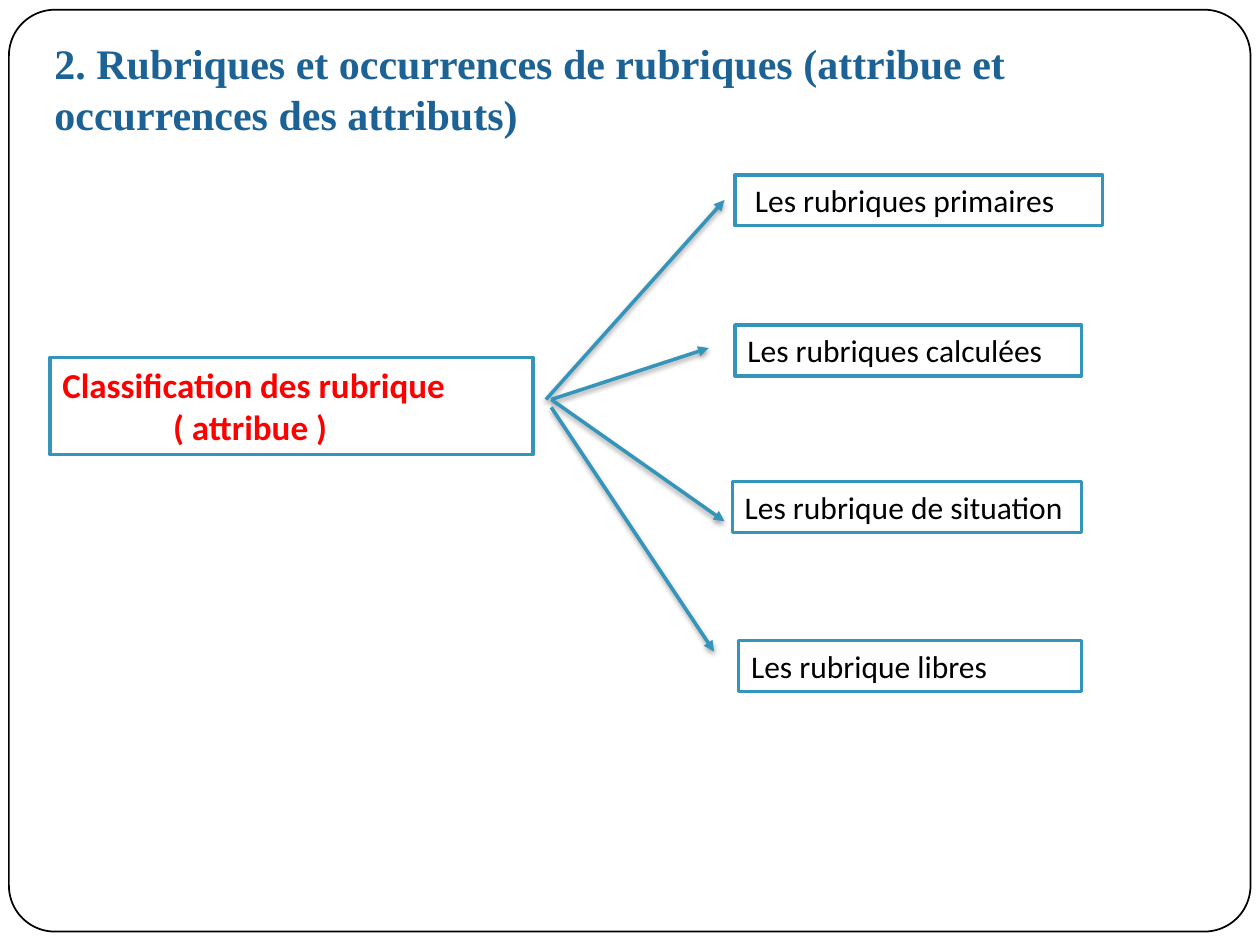
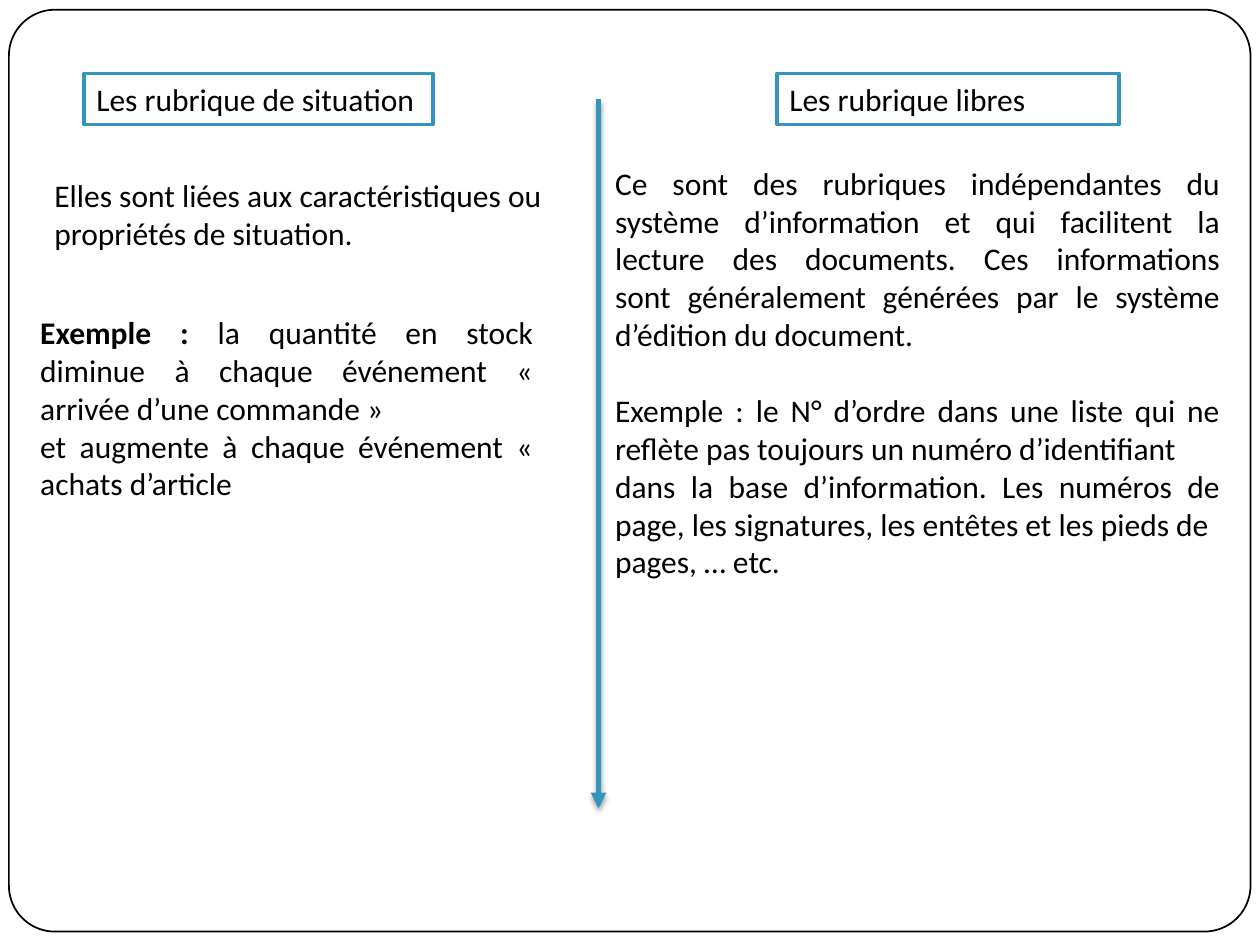
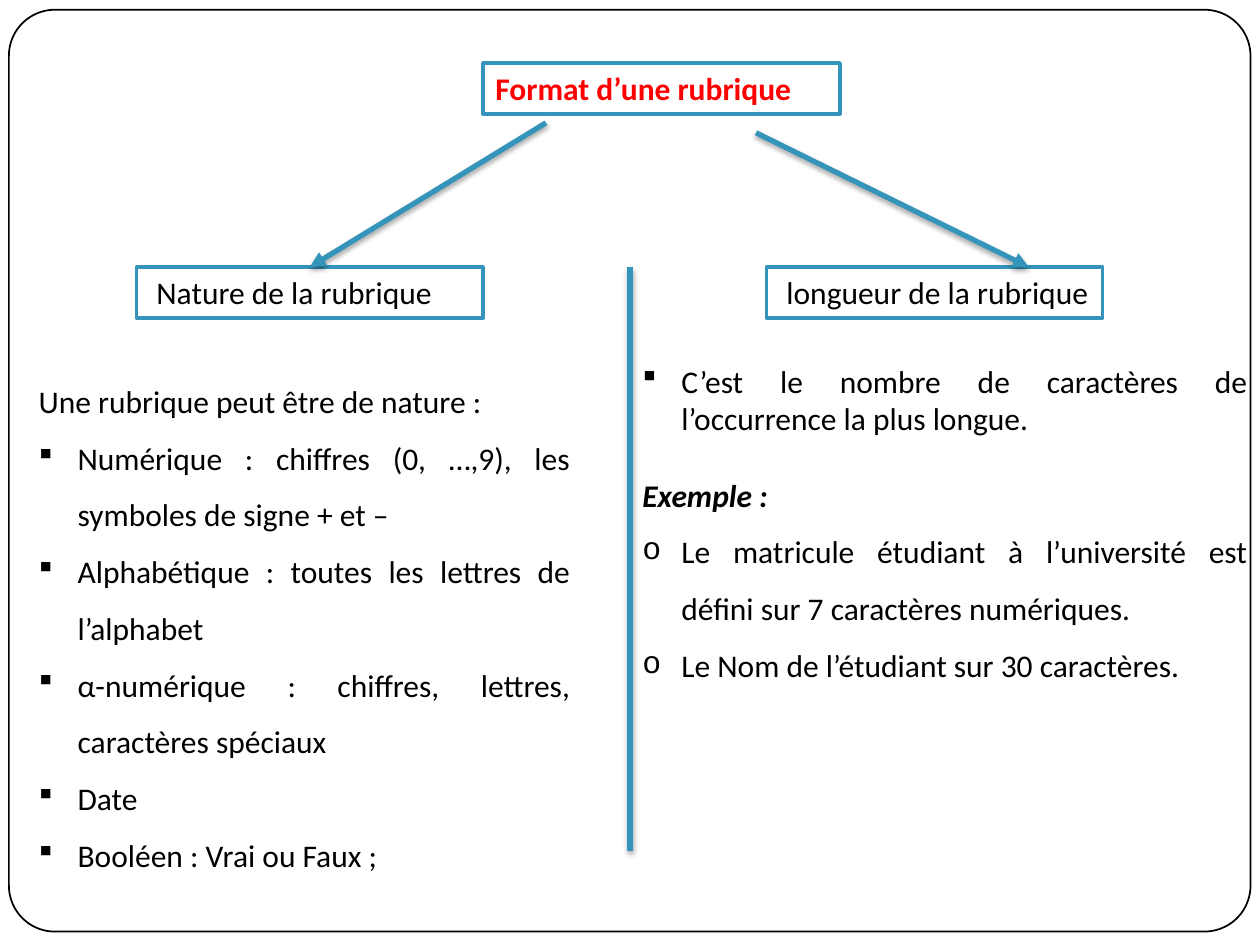
from dataclasses import dataclass

from lxml.etree import SubElement
from pptx import Presentation
from pptx.dml.color import RGBColor
from pptx.enum.shapes import MSO_CONNECTOR as Connector, MSO_SHAPE as Shape
from pptx.enum.text import MSO_ANCHOR as Anchor, PP_ALIGN as Align
from pptx.oxml.ns import qn
from pptx.util import Inches, Pt

BLACK = RGBColor(0x00, 0x00, 0x00)
WHITE = RGBColor(0xFF, 0xFF, 0xFF)
RED = RGBColor(0xFF, 0x00, 0x00)
TEAL = RGBColor(0x34, 0x94, 0xBA)
TITLE_BLUE = RGBColor(0x1D, 0x62, 0x94)

BODY_FONT = "Calibri"
TITLE_FONT = "Times New Roman"
SQUARE_BULLET = ("Wingdings", "§")
ROUND_BULLET = ("Courier New", "o")
BODY_SIZE = 18
BLANK_LINE = 22
HANGING = 0.31
WORD_SPACE = 0.06

SLIDE_WIDTH = Inches(10)
SLIDE_HEIGHT = Inches(7.5)
COLUMNS = 120
CELL = SLIDE_WIDTH / COLUMNS
LABEL_HEIGHT = 4.85


@dataclass
class Box:
    """An area of the slide measured in grid cells."""

    left: float
    top: float
    width: float
    height: float

    def inside(self, left, top, width, height):
        """Return a box placed relative to this one."""
        return Box(self.left + left, self.top + top, width, height)

    def emu(self):
        """Return left, top, width and height as slide lengths."""
        return [round(cells * CELL)
                for cells in (self.left, self.top, self.width, self.height)]


@dataclass
class Line:
    """One paragraph with its layout."""

    text: str
    lead: str = ""
    bullet: tuple = ()
    indent: float = 0
    spacing: float = 1
    before: float = 0
    bold: bool = False
    italic: bool = False


PAGE = Box(0, 0, COLUMNS, 90)


def write(shape, lines, align=Align.LEFT, size=BODY_SIZE, color=BLACK, font_name=BODY_FONT):
    """Fill a shape with paragraphs."""
    frame = shape.text_frame
    frame.word_wrap = True
    frame.vertical_anchor = Anchor.TOP
    for index, line in enumerate(lines):
        paragraph = frame.paragraphs[0] if index == 0 else frame.add_paragraph()
        paragraph.alignment = align
        paragraph.line_spacing = line.spacing
        paragraph.space_before = Pt(line.before)
        properties = paragraph._p.get_or_add_pPr()
        margin = HANGING if line.bullet else line.indent
        properties.set("marL", str(Inches(margin)))
        properties.set("indent", str(Inches(-HANGING if line.bullet else 0)))
        if line.bullet:
            bullet_font, bullet_character = line.bullet
            SubElement(properties, qn("a:buFont"), typeface=bullet_font)
            SubElement(properties, qn("a:buChar"), char=bullet_character)
        font = paragraph.font
        font.name, font.size = font_name, Pt(size)
        font.bold, font.italic = line.bold, line.italic
        font.color.rgb = color
        if line.lead:
            lead = paragraph.add_run()
            lead.text = line.lead
            lead.font.bold = True
        for part_index, part in enumerate(line.text.split("\n")):
            if part_index:
                paragraph.add_line_break()
            paragraph.add_run().text = part


def add_text(slide, box, lines, **style):
    """Add a plain text box."""
    write(slide.shapes.add_textbox(*box.emu()), lines, **style)


def add_label(slide, box, lines, **style):
    """Add a white box with a teal outline."""
    shape = slide.shapes.add_shape(Shape.RECTANGLE, *box.emu())
    shape.shadow.inherit = False
    shape.fill.solid()
    shape.fill.fore_color.rgb = WHITE
    shape.line.color.rgb = TEAL
    shape.line.width = Pt(2)
    write(shape, lines, **style)


def add_line(slide, box, start, end, width=3, arrow=True):
    """Draw a shadowed teal line between two points of a box."""
    points = [round(cells * CELL) for x, y in (start, end)
              for cells in (box.left + x, box.top + y)]
    connector = slide.shapes.add_connector(Connector.STRAIGHT, *points)
    connector.line.color.rgb = TEAL
    connector.line.width = Pt(width)
    if arrow:
        SubElement(connector.line._get_or_add_ln(), qn("a:tailEnd"), type="triangle")
    effects = SubElement(connector._element.spPr, qn("a:effectLst"))
    shadow = SubElement(effects, qn("a:outerShdw"), blurRad=str(Pt(3.1)),
                        dist=str(Pt(1.7)), dir="5400000", rotWithShape="0")
    color = SubElement(shadow, qn("a:srgbClr"), val=str(BLACK))
    SubElement(color, qn("a:alpha"), val="36000")


def add_framed_slide(presentation):
    """Add a blank slide with the rounded page frame."""
    slide = presentation.slides.add_slide(presentation.slide_layouts[6])
    frame = slide.shapes.add_shape(
        Shape.ROUNDED_RECTANGLE, *PAGE.inside(0.85, 0.93, 118.25, 87.8).emu())
    frame.adjustments[0] = 0.05
    frame.shadow.inherit = False
    frame.fill.background()
    frame.line.color.rgb = BLACK
    frame.line.width = Pt(1)
    return slide


def add_classification(slide, box):
    """Place the classification box and its four branches."""
    add_label(slide, box.inside(0, 17.4, 46, 9.25),
              [Line("Classification des rubrique", bold=True),
               Line("( attribue )", indent=0.88, bold=True)], size=20, color=RED)
    branches = [
        ("Les rubriques primaires", WORD_SPACE, (65.25, 0, 35), (47.25, 21.4), (64.25, 2.4)),
        ("Les rubriques calculées", 0, (65.25, 14.3, 33), (47.75, 21.4), (62.75, 16.5)),
        ("Les rubrique de situation", 0, (65, 29.2, 33.25), (47.75, 21.4), (64.25, 33)),
        ("Les rubrique libres", 0, (65.6, 44.35, 32.65), (47.75, 22.15), (63.25, 45.4)),
    ]
    for text, indent, place, start, end in branches:
        add_label(slide, box.inside(*place, LABEL_HEIGHT), [Line(text, indent=indent)])
        add_line(slide, box, start, end, width=2)


def build_classification_slide(presentation):
    """Build the slide that classifies the fields."""
    slide = add_framed_slide(presentation)
    title = "2. Rubriques et occurrences de rubriques (attribue et occurrences des attributs)"
    add_text(slide, PAGE.inside(4, 3, 106, 10.9), [Line(title, bold=True)],
             size=24, color=TITLE_BLUE, font_name=TITLE_FONT)
    add_classification(slide, PAGE.inside(4.75, 16.65, 100.25, 49.2))


def add_situation_column(slide, box):
    """Place the situation fields with their example."""
    add_label(slide, box.inside(8, 0, 33.25, LABEL_HEIGHT), [Line("Les rubrique de situation")])
    add_text(slide, box.inside(4, 9.2, 60, 8.5),
             [Line("Elles sont liées aux caractéristiques ou propriétés de situation.")])
    add_text(slide, box.inside(2.65, 22.25, 49.3, 19.4), [
        Line("la quantité en stock diminue à chaque événement « arrivée d’une commande »",
             lead="Exemple : "),
        Line("et augmente à chaque événement « achats d’article"),
    ], align=Align.JUSTIFY)


def add_free_column(slide, box):
    """Place the free fields with their example."""
    add_label(slide, box.inside(17, 0, 32.6, LABEL_HEIGHT), [Line("Les rubrique libres")])
    add_text(slide, box.inside(0.4, 8, 60, 41.2), [
        Line("Ce sont des rubriques indépendantes du système d’information et qui facilitent "
             "la lecture des documents. Ces informations\nsont généralement générées par le "
             "système\nd’édition du document."),
        Line("Exemple : le N° d’ordre dans une liste qui ne reflète pas toujours un numéro "
             "d’identifiant", before=BLANK_LINE),
        Line("dans la base d’information. Les numéros de page, les signatures, les entêtes "
             "et les pieds de"),
        Line("pages, … etc."),
    ], align=Align.JUSTIFY)


def build_situation_and_free_slide(presentation):
    """Build the slide that compares situation and free fields."""
    slide = add_framed_slide(presentation)
    add_situation_column(slide, PAGE.inside(0, 7, 57, 76))
    add_free_column(slide, PAGE.inside(57, 7, 63, 76))
    add_line(slide, PAGE, (57, 9.45), (57, 77))


def add_nature_column(slide, box):
    """Place the possible natures of a field."""
    add_label(slide, box.inside(13, 0, 33, LABEL_HEIGHT),
              [Line("Nature de la rubrique", indent=WORD_SPACE)])
    natures = [
        "Numérique : chiffres (0, …,9), les symboles de signe + et –",
        "Alphabétique : toutes les lettres de l’alphabet",
        "α-numérique : chiffres, lettres, caractères spéciaux",
        "Date",
        "Booléen : Vrai ou Faux ;",
    ]
    lines = [Line("Une rubrique peut être de nature :", spacing=1.5)]
    lines += [Line(nature, bullet=SQUARE_BULLET, spacing=1.5) for nature in natures]
    add_text(slide, box.inside(2.5, 8.55, 53, 55.2), lines, align=Align.JUSTIFY)


def add_length_column(slide, box):
    """Place the definition of a field's length."""
    add_label(slide, box.inside(13, 0, 32, LABEL_HEIGHT),
              [Line("longueur de la rubrique", indent=WORD_SPACE)])
    examples = [
        "Le matricule étudiant à l’université est défini sur 7 caractères numériques.",
        "Le Nom de l’étudiant sur 30 caractères.",
    ]
    lines = [
        Line("C’est le nombre de caractères de l’occurrence la plus longue.",
             bullet=SQUARE_BULLET),
        Line("Exemple :", before=BLANK_LINE, bold=True, italic=True),
    ]
    lines += [Line(example, bullet=ROUND_BULLET, spacing=1.5) for example in examples]
    add_text(slide, box.inside(0, 8.4, 60, 31.6), lines, align=Align.JUSTIFY)


def build_format_slide(presentation):
    """Build the slide about the format of a field."""
    slide = add_framed_slide(presentation)
    add_label(slide, PAGE.inside(46, 6, 34, LABEL_HEIGHT),
              [Line("Format d’une rubrique", bold=True)], color=RED)
    body_top = 25.45
    add_nature_column(slide, PAGE.inside(0, body_top, 60, 64))
    add_length_column(slide, PAGE.inside(60, body_top, 60, 64))
    add_line(slide, PAGE, (52, 11.7), (29.5, body_top))
    add_line(slide, PAGE, (72, 12.65), (98, body_top))
    add_line(slide, PAGE, (60, body_top), (60, 81), arrow=False)


def main():
    """Build the presentation and save it."""
    presentation = Presentation()
    presentation.slide_width = SLIDE_WIDTH
    presentation.slide_height = SLIDE_HEIGHT
    build_classification_slide(presentation)
    build_situation_and_free_slide(presentation)
    build_format_slide(presentation)
    presentation.save("out.pptx")


if __name__ == "__main__":
    main()
